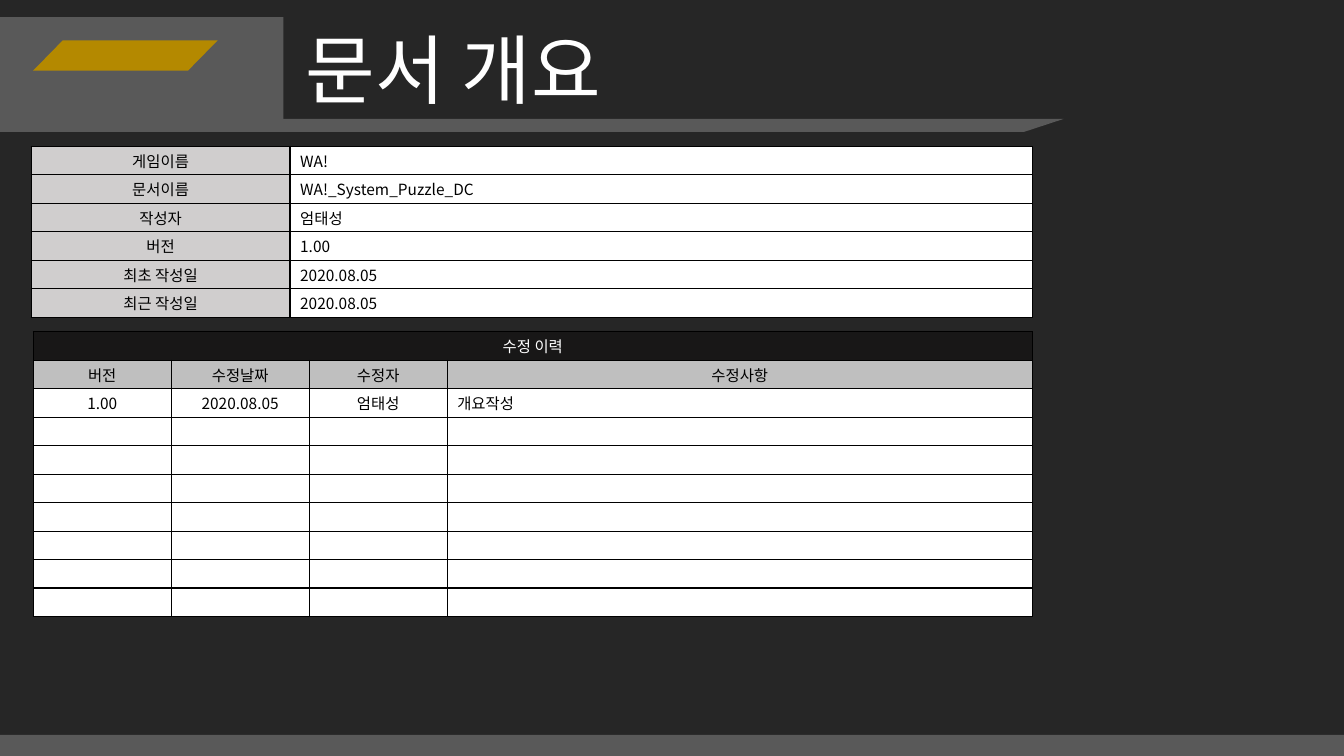
from collections import namedtuple
from lxml import etree
from pptx import Presentation
from pptx.dml.color import RGBColor
from pptx.enum.shapes import MSO_SHAPE
from pptx.enum.text import MSO_ANCHOR, PP_ALIGN
from pptx.oxml.ns import qn
from pptx.util import Inches, Pt

FONT = "Noto Sans CJK KR"
BACKDROP = RGBColor(0x26, 0x26, 0x26)
BAND = RGBColor(0x59, 0x59, 0x59)
GOLD = RGBColor(0xB4, 0x89, 0x00)
WHITE = RGBColor(0xFF, 0xFF, 0xFF)
BLACK = RGBColor(0x00, 0x00, 0x00)
LABEL = RGBColor(0xD0, 0xCE, 0xCE)
HEADING = RGBColor(0x18, 0x17, 0x17)
COLUMN_HEAD = RGBColor(0xBF, 0xBF, 0xBF)
LEFT, CENTER = PP_ALIGN.LEFT, PP_ALIGN.CENTER

Box = namedtuple("Box", "left top width height")

OVERVIEW = [
    ("게임이름", "WA!"),
    ("문서이름", "WA!_System_Puzzle_DC"),
    ("작성자", "엄태성"),
    ("버전", "1.00"),
    ("최초 작성일", "2020.08.05"),
    ("최근 작성일", "2020.08.05"),
]
HISTORY_COLUMNS = ["버전", "수정날짜", "수정자", "수정사항"]
HISTORY = [["1.00", "2020.08.05", "엄태성", "개요작성"]] + [[""] * 4] * 7


def inches(box):
    return [Inches(length) for length in box]


def write(para, text, size, color, align):
    """Put one formatted span in a paragraph; an empty one keeps its size."""
    para.alignment = align
    if not text:
        etree.SubElement(para._p, qn("a:endParaRPr"), sz=str(size * 100))
        return
    span = para.add_run()
    span.text = text
    for name, value in {"size": Pt(size), "name": FONT, "bold": False}.items():
        setattr(span.font, name, value)
    span.font.color.rgb = color
    etree.SubElement(span._r.get_or_add_rPr(), qn("a:ea"), typeface=FONT)


def add_block(page, kind, box, color, slant=None):
    block = page.shapes.add_shape(kind, *inches(box))
    block.shadow.inherit = False
    block.fill.solid()
    block.fill.fore_color.rgb = color
    block.line.fill.background()
    if slant is not None:
        block.adjustments[0] = slant


def outline(cell):
    properties = cell._tc.get_or_add_tcPr()
    for position, side in enumerate(("lnL", "lnR", "lnT", "lnB")):
        line = etree.Element(qn(f"a:{side}"), w=str(Pt(1)))
        fill = etree.SubElement(line, qn("a:solidFill"))
        etree.SubElement(fill, qn("a:srgbClr"), val=str(BLACK))
        properties.insert(position, line)


def fill_cell(cell, text, fill, align, color=BLACK):
    margins = {"margin_top": 0.03, "margin_bottom": 0.03,
               "margin_left": 0.1, "margin_right": 0.1}
    for name, value in margins.items():
        setattr(cell, name, Inches(value))
    cell.vertical_anchor = MSO_ANCHOR.MIDDLE
    cell.fill.solid()
    cell.fill.fore_color.rgb = fill
    outline(cell)
    write(cell.text_frame.paragraphs[0], text, 11, color, align)


def add_grid(page, box, row_count, shares):
    """Add a table with equal rows and columns given as shares of its width."""
    grid = page.shapes.add_table(row_count, len(shares), *inches(box)).table
    for column, share in zip(grid.columns, shares):
        column.width = Inches(box.width * share / sum(shares))
    for row in grid.rows:
        row.height = Inches(box.height / row_count)
    return grid


def add_header(page, box, title):
    # Badge block, slanted rule and plain emblem
    badge_width, rule_height = 2.81, 0.13
    add_block(page, MSO_SHAPE.RECTANGLE,
              Box(box.left, box.top, badge_width, box.height), BAND)
    rule_left = box.left + 2.31
    add_block(page, MSO_SHAPE.PARALLELOGRAM,
              Box(rule_left, box.top + box.height - rule_height,
                  box.width - rule_left, rule_height), BAND, 3.05)
    add_block(page, MSO_SHAPE.PARALLELOGRAM,
              Box(box.left + 0.33, box.top + 0.23, 1.83, 0.3), GOLD, 0.98)

    # Title
    heading = page.shapes.title
    place = Box(box.left + badge_width + 0.12, box.top, 3.5,
                box.height - rule_height)
    for name, value in zip(Box._fields, inches(place)):
        setattr(heading, name, value)
    frame = heading.text_frame
    frame.word_wrap = False
    frame.vertical_anchor = MSO_ANCHOR.MIDDLE
    write(frame.paragraphs[0], title, 54, WHITE, LEFT)


def add_overview(page, box):
    grid = add_grid(page, box, len(OVERVIEW), [2.57, 7.37])
    for index, (label, value) in enumerate(OVERVIEW):
        fill_cell(grid.cell(index, 0), label, LABEL, CENTER)
        fill_cell(grid.cell(index, 1), value, WHITE, LEFT)


def add_history(page, box):
    grid = add_grid(page, box, len(HISTORY) + 2, [1.37, 1.37, 1.37, 5.81])
    # Merged heading
    grid.cell(0, 0).merge(grid.cell(0, 3))
    for column in range(4):
        text = "" if column else "수정 이력"
        fill_cell(grid.cell(0, column), text, HEADING, CENTER, WHITE)
    # Column heads and entries
    for column, head in enumerate(HISTORY_COLUMNS):
        fill_cell(grid.cell(1, column), head, COLUMN_HEAD, CENTER)
        align = LEFT if column == 3 else CENTER
        for index, entry in enumerate(HISTORY, start=2):
            fill_cell(grid.cell(index, column), entry[column], WHITE, align)


def add_footer(page, box):
    add_block(page, MSO_SHAPE.RECTANGLE, box, BAND)


deck = Presentation()
deck.slide_width, deck.slide_height = Inches(13.33), Inches(7.5)
page = deck.slides.add_slide(deck.slide_layouts[5])
page.background.fill.solid()
page.background.fill.fore_color.rgb = BACKDROP

add_header(page, Box(0, 0.17, 10.55, 1.14), "문서 개요")
add_overview(page, Box(0.31, 1.45, 9.93, 1.7))
add_history(page, Box(0.33, 3.29, 9.91, 2.83))
add_footer(page, Box(0, 7.29, 13.33, 0.21))

deck.save("out.pptx")
